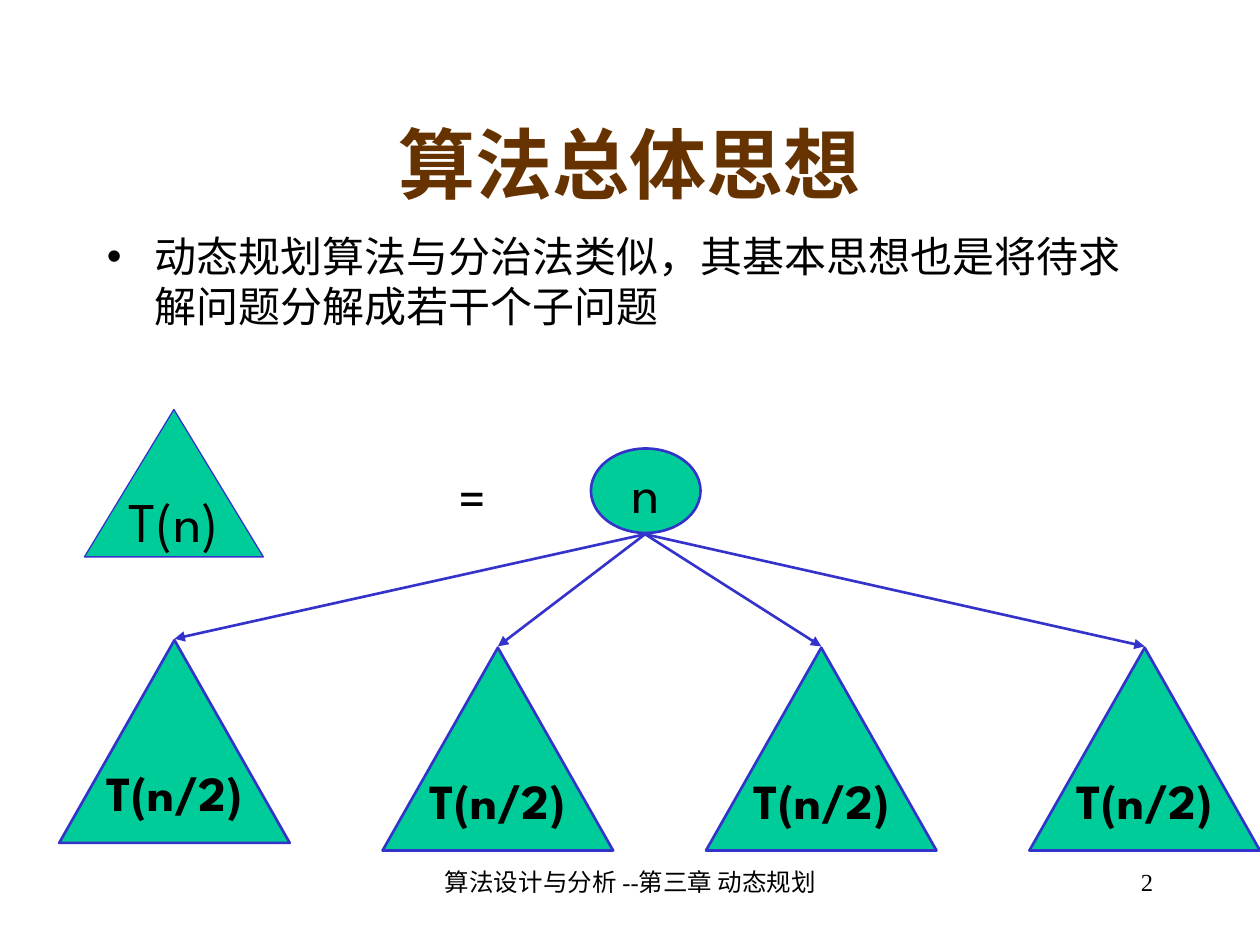
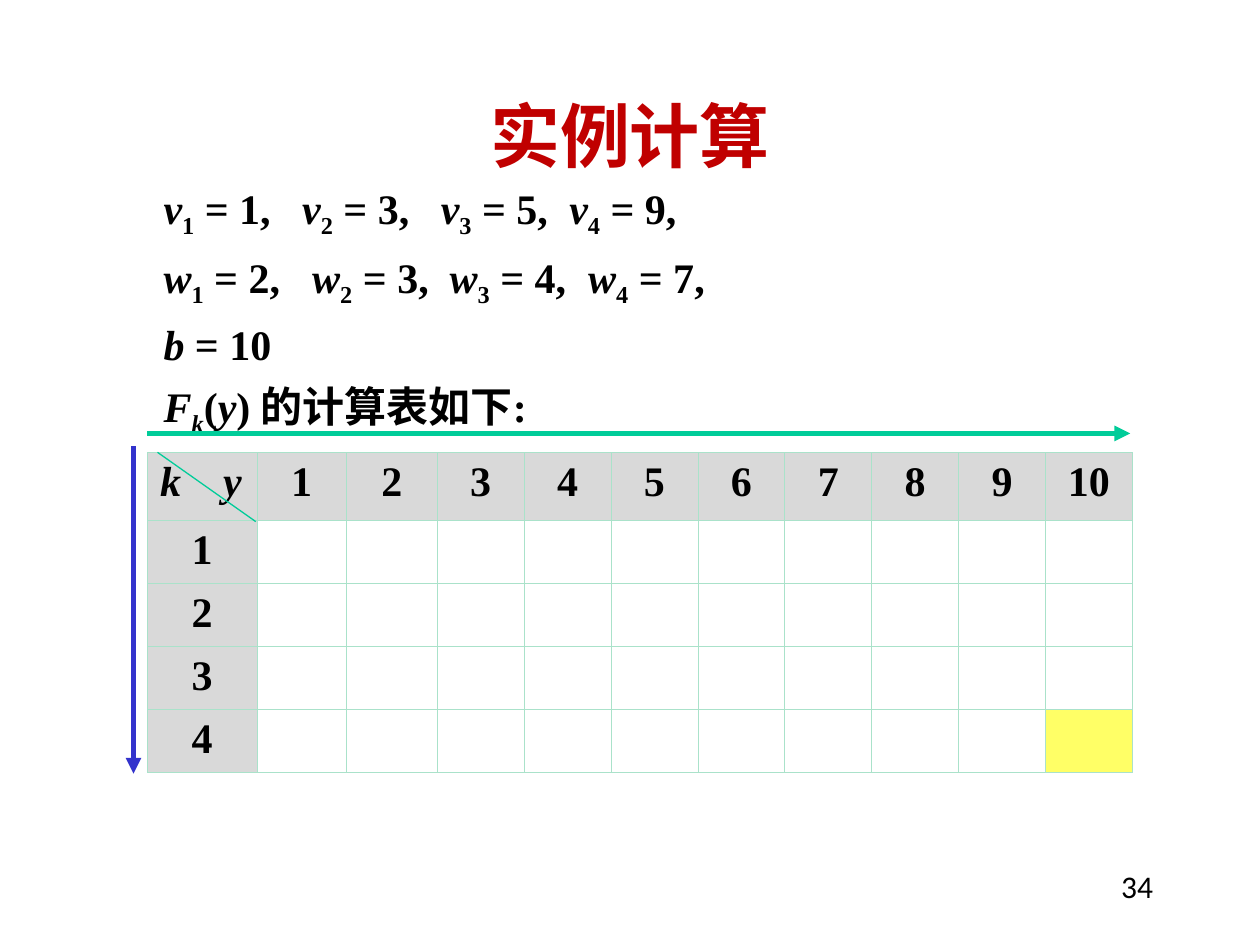
from lxml.etree import SubElement
from pptx import Presentation
from pptx.dml.color import RGBColor
from pptx.enum.shapes import MSO_CONNECTOR, MSO_SHAPE
from pptx.enum.text import MSO_ANCHOR, PP_ALIGN
from pptx.oxml import parse_xml
from pptx.oxml.ns import nsdecls, qn
from pptx.util import Inches, Pt

BLACK, BROWN, RED = "000000", "663300", "C00000"
GREEN, BLUE, MINT = "00CC99", "3333CC", "AAE2CA"
GREY, WHITE, YELLOW = "D9D9D9", "FFFFFF", "FFFF66"
SERIF, ROUND, SANS = "Times New Roman", "League Spartan", "Noto Sans CJK SC"

IDEA = "动态规划算法与分治法类似，其基本思想也是将待求解问题分解成若干个子问题"
CHAPTER = "算法设计与分析 --第三章 动态规划"
SUBPROBLEM_COUNT = 4
SUBPROBLEM_TOPS = [5.08, 5.14, 5.14, 5.14]

SEQUENCES = [
    ("v", [1, 3, 5, 9], [1.1, 2.2, 3.22], 1.5),
    ("w", [2, 3, 4, 7], [1.18, 2.27, 3.37], 1.2),
]
CLOSING_LINES = [
    [("b", "i"), (" = 10", "")],
    [("F", "i"), ("k", "is"), ("(", ""), ("y", "i"), (") 的计算表如下:", "")],
]
CAPACITIES = range(1, 11)
ITEMS = range(1, 5)
COLUMN_WIDTHS = [0.87, 0.71, 0.72] + [0.69] * 8
ROW_HEIGHTS = [0.54] + [0.5] * 4


def rgb(value):
    return RGBColor.from_string(value)


def add_run(paragraph, text, size, font, color=BLACK, bold=False, style=""):
    run = paragraph.add_run()
    run.text = text
    run.font.size = Pt(size)
    run.font.name = font
    run.font.bold = bold
    run.font.italic = "i" in style
    run.font.color.rgb = rgb(color)
    if "s" in style:
        run._r.get_or_add_rPr().set("baseline", "-25000")


def add_tabs(paragraph, stops):
    tabs = SubElement(paragraph._p.get_or_add_pPr(), qn("a:tabLst"))
    for stop in stops:
        SubElement(tabs, qn("a:tab"), pos=str(Inches(stop)), algn="l")


def add_box(slide, left, top, width, height, wrap=True):
    frame = slide.shapes.add_textbox(
        Inches(left), Inches(top), Inches(width), Inches(height)).text_frame
    frame.word_wrap = wrap
    return frame


def add_label(slide, box, text, size, font, align):
    paragraph = add_box(slide, *box).paragraphs[0]
    paragraph.alignment = align
    add_run(paragraph, text, size, font)


def add_titled_slide(deck, title, top, size, color, number, number_size, number_font):
    slide = deck.slides.add_slide(deck.slide_layouts[5])
    heading = slide.shapes.title
    heading.left, heading.top = Inches(0.75), Inches(top)
    heading.width, heading.height = Inches(8.5), Inches(1.25)
    heading.text_frame.vertical_anchor = MSO_ANCHOR.MIDDLE
    paragraph = heading.text_frame.paragraphs[0]
    paragraph.alignment = PP_ALIGN.CENTER
    add_run(paragraph, title, size, SERIF, color, True)
    add_label(slide, (7.17, 6.83, 2.08, 0.5), number, number_size, number_font,
              PP_ALIGN.RIGHT)
    return slide


def add_node(slide, kind, box, text, size, bold=False, line_width=1.5):
    node = slide.shapes.add_shape(kind, *map(Inches, box))
    node.shadow.inherit = False
    node.fill.solid()
    node.fill.fore_color.rgb = rgb(GREEN)
    node.line.color.rgb = rgb(BLUE)
    node.line.width = Pt(line_width)
    frame = node.text_frame
    frame.word_wrap = False
    frame.vertical_anchor = MSO_ANCHOR.MIDDLE
    frame.paragraphs[0].alignment = PP_ALIGN.CENTER
    add_run(frame.paragraphs[0], text, size, ROUND, bold=bold)


def add_line(slide, start, end, color, width, arrow=True):
    line = slide.shapes.add_connector(
        MSO_CONNECTOR.STRAIGHT, *map(Inches, (*start, *end)))
    line.line.color.rgb = rgb(color)
    line.line.width = Pt(width)
    if arrow:
        SubElement(line.line._get_or_add_ln(), qn("a:tailEnd"), type="triangle")
    SubElement(line._element.spPr, qn("a:effectLst"))


def format_cell(cell, fill):
    properties = cell._tc.get_or_add_tcPr()
    for side in ("lnL", "lnR", "lnT", "lnB"):
        properties.append(parse_xml(
            f'<a:{side} {nsdecls("a")} w="{Pt(0.45)}"><a:solidFill>'
            f'<a:srgbClr val="{MINT}"/></a:solidFill></a:{side}>'))
    cell.fill.solid()
    cell.fill.fore_color.rgb = rgb(fill)


def build_idea_slide(deck):
    slide = add_titled_slide(deck, "算法总体思想", 0.67, 44, BROWN, "2", 14, SERIF)
    add_label(slide, (3.42, 6.83, 3.17, 0.5), CHAPTER, 14, SERIF, PP_ALIGN.CENTER)

    idea = add_box(slide, 0.75, 1.78, 8.5, 4.5).paragraphs[0]
    layout = idea._p.get_or_add_pPr()
    layout.set("marL", str(Inches(0.38)))
    layout.set("indent", str(-Inches(0.38)))
    SubElement(layout, qn("a:buFont"), typeface="Arial")
    SubElement(layout, qn("a:buChar"), char="•")
    add_run(idea, IDEA, 24, SANS)

    add_node(slide, MSO_SHAPE.OVAL, (4.69, 3.56, 0.87, 0.67), "n", 32)
    width, height, first_left, last_left = 1.83, 1.61, 0.47, 8.17
    step = (last_left - first_left) / (SUBPROBLEM_COUNT - 1)
    for index, top in enumerate(SUBPROBLEM_TOPS):
        left = first_left + index * step
        add_line(slide, (5.12, 4.24), (left + width / 2, top - 0.01), BLUE, 1.5)
        add_node(slide, MSO_SHAPE.ISOSCELES_TRIANGLE, (left, top, width, height),
                 "T(n/2)", 28, True)
    add_node(slide, MSO_SHAPE.ISOSCELES_TRIANGLE, (0.67, 3.25, 1.42, 1.17),
             "T(n)", 32, line_width=0.75)
    add_label(slide, (3.17, 3.62, 1.17, 0.64), "=", 32, ROUND, PP_ALIGN.CENTER)


def add_givens(slide):
    frame = add_box(slide, 1.2, 1.17, 4.57, 2.36, False)
    lines = []
    for letter, values, stops, spacing in SEQUENCES:
        runs = []
        for index, value in enumerate(values, 1):
            gap = "\t" if index < len(values) else ""
            runs += [(letter, "i"), (str(index), "s"), (f" = {value},{gap}", "")]
        lines.append((runs, stops, spacing))
    lines += [(runs, [], 1.2) for runs in CLOSING_LINES]
    for index, (runs, stops, spacing) in enumerate(lines):
        paragraph = frame.add_paragraph() if index else frame.paragraphs[0]
        paragraph.line_spacing = spacing
        if stops:
            add_tabs(paragraph, stops)
        for text, style in runs:
            add_run(paragraph, text, 24, SERIF, bold=True, style=style)


def add_value_table(slide):
    table = slide.shapes.add_table(
        len(ROW_HEIGHTS), len(COLUMN_WIDTHS), Inches(1.17), Inches(3.59),
        Inches(sum(COLUMN_WIDTHS)), Inches(sum(ROW_HEIGHTS))).table
    table.first_row = table.horz_banding = False
    for column, width in zip(table.columns, COLUMN_WIDTHS):
        column.width = Inches(width)
    for row, height in zip(table.rows, ROW_HEIGHTS):
        row.height = Inches(height)

    headings = {(0, y): str(y) for y in CAPACITIES}
    headings |= {(k, 0): str(k) for k in ITEMS}
    headings[0, 0] = "k\ty"
    answer = (ITEMS[-1], CAPACITIES[-1])
    for row in range(len(ROW_HEIGHTS)):
        for column in range(len(COLUMN_WIDTHS)):
            place = (row, column)
            cell = table.cell(row, column)
            format_cell(cell, GREY if place in headings else
                        YELLOW if place == answer else WHITE)
            if place not in headings:
                continue
            paragraph = cell.text_frame.paragraphs[0]
            corner = place == (0, 0)
            if corner:
                add_tabs(paragraph, [0.5])
            else:
                paragraph.alignment = PP_ALIGN.CENTER
            add_run(paragraph, headings[place], 24, SERIF, bold=True,
                    style="i" if corner else "")


def build_example_slide(deck):
    slide = add_titled_slide(deck, "实例计算", 0.44, 40, RED, "34", 18, "Calibri")
    add_givens(slide)
    add_value_table(slide)
    add_line(slide, (1.25, 3.59), (2.03, 4.14), GREEN, 0.75, False)
    add_line(slide, (1.06, 3.54), (1.06, 6.14), BLUE, 3)
    add_line(slide, (1.17, 3.44), (8.97, 3.44), GREEN, 3)


def main():
    deck = Presentation()
    deck.slide_width, deck.slide_height = Inches(10), Inches(7.5)
    build_idea_slide(deck)
    build_example_slide(deck)
    deck.save("out.pptx")


if __name__ == "__main__":
    main()
